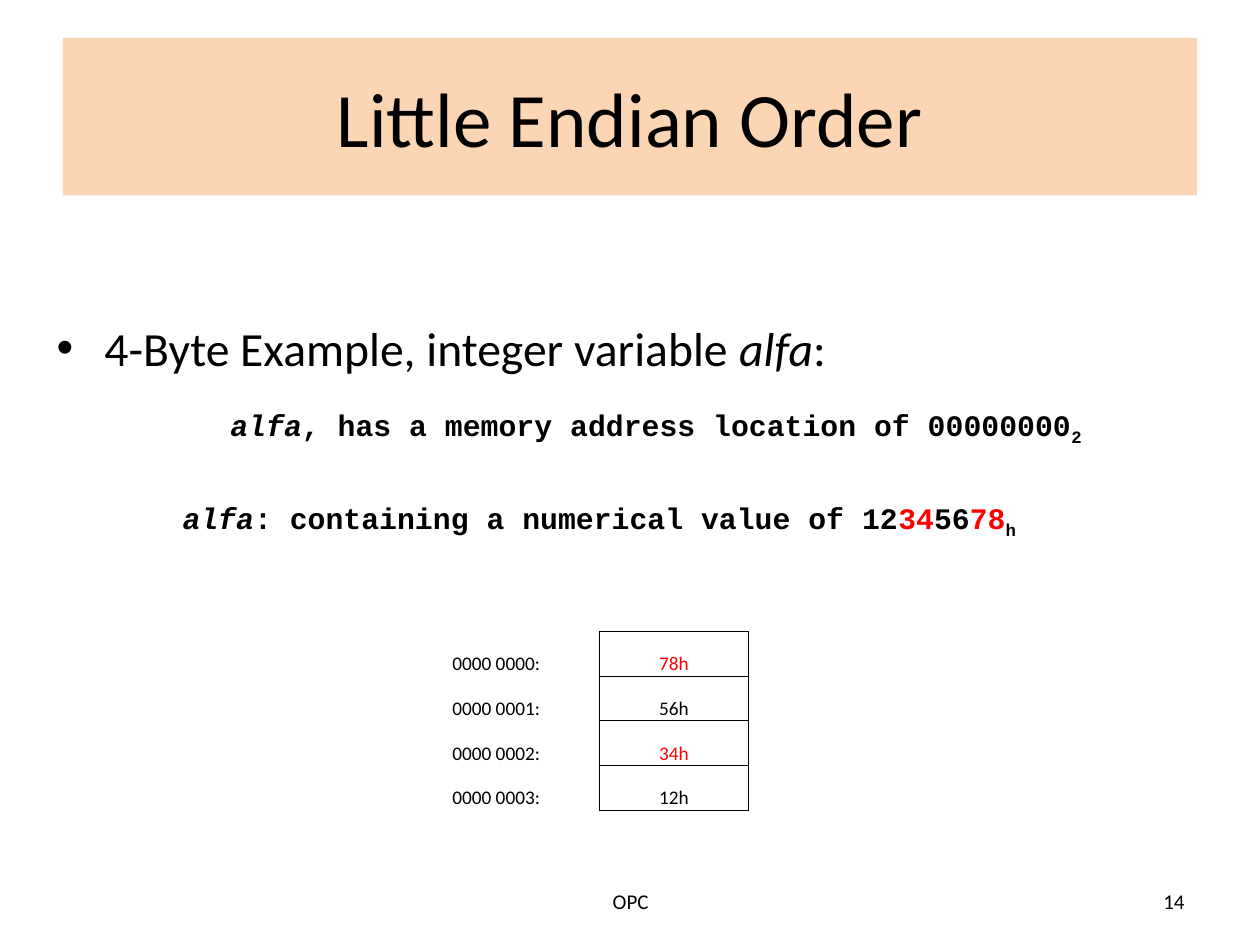
import pptx
import pptx.util
import pptx.dml.color
import pptx.enum.shapes
import pptx.enum.text
import pptx.oxml
import pptx.oxml.ns

Inches = pptx.util.Inches
Pt = pptx.util.Pt
RGBColor = pptx.dml.color.RGBColor
PP_ALIGN = pptx.enum.text.PP_ALIGN
MSO_ANCHOR = pptx.enum.text.MSO_ANCHOR

BLACK = RGBColor(0, 0, 0)
RED = RGBColor(0xFF, 0, 0)
PEACH = RGBColor(0xFC, 0xD5, 0xB5)


def add_run(p, text, size, font="Calibri", color=BLACK, bold=False, italic=False, sub=False):
    """Append a formatted run to a paragraph."""
    r = p.add_run()
    r.text = text
    r.font.size = Pt(size)
    r.font.name = font
    r.font.color.rgb = color
    r.font.bold = bold
    r.font.italic = italic
    if sub:
        r.font._element.set("baseline", "-25000")


def set_indent(p, left, first=0, bullet=None):
    """Set a paragraph's left margin, first-line indent and bullet."""
    pPr = p._p.get_or_add_pPr()
    pPr.set("marL", str(Inches(left)))
    pPr.set("indent", str(Inches(first)))
    if bullet:
        ns = pptx.oxml.ns.nsdecls("a")
        pPr.append(pptx.oxml.parse_xml(f'<a:buFont {ns} typeface="Arial"/>'))
        pPr.append(pptx.oxml.parse_xml(f'<a:buChar {ns} char="{bullet}"/>'))


def add_title(s, box, text):
    """Place the title on its coloured band."""
    sp = s.shapes.add_shape(pptx.enum.shapes.MSO_SHAPE.RECTANGLE, *box)
    sp.shadow.inherit = False
    sp.fill.solid()
    sp.fill.fore_color.rgb = PEACH
    sp.line.fill.background()
    sp.text_frame.vertical_anchor = MSO_ANCHOR.MIDDLE
    p = sp.text_frame.paragraphs[0]
    p.alignment = PP_ALIGN.CENTER
    add_run(p, text, 44)


def add_footer(s, box, text, align):
    """Place one footer text in its box."""
    tf = s.shapes.add_textbox(*box).text_frame
    tf.word_wrap = True
    tf.vertical_anchor = MSO_ANCHOR.MIDDLE
    p = tf.paragraphs[0]
    p.alignment = align
    add_run(p, text, 12)


def add_body(s, box):
    """Place the bullet and the two statements about the variable."""
    tf = s.shapes.add_textbox(*box).text_frame
    tf.word_wrap = True
    p = tf.paragraphs[0]
    set_indent(p, 0.38, -0.38, "•")
    add_run(p, "4-Byte Example, integer variable ", 27.2)
    add_run(p, "alfa", 27.2, italic=True)
    add_run(p, ":", 27.2)

    statements = [
        (1.38, 17.5, [(", has a memory address location of 00000000", BLACK)], "2"),
        (1, 30, [(": containing a numerical value of 12", BLACK), ("34", RED),
                 ("56", BLACK), ("78", RED)], "h"),
    ]
    for left, space, parts, base in statements:
        p = tf.add_paragraph()
        p.space_before = Pt(space)
        set_indent(p, left)
        add_run(p, "alfa", 17, "Courier New", bold=True, italic=True)
        for text, color in parts:
            add_run(p, text, 17, "Courier New", color, bold=True)
        add_run(p, base, 17, "Courier New", bold=True, sub=True)


def set_borders(cell, sides):
    """Draw thin black lines on the given cell sides and none on the others."""
    tcPr = cell._tc.get_or_add_tcPr()
    ns = pptx.oxml.ns.nsdecls("a")
    for i, side in enumerate("LRTB"):
        fill = "<a:noFill/>"
        if side in sides:
            fill = f'<a:solidFill><a:srgbClr val="{BLACK}"/></a:solidFill>'
        line = f'<a:ln{side} {ns} w="{Pt(0.5)}">{fill}</a:ln{side}>'
        tcPr.insert(i, pptx.oxml.parse_xml(line))


def add_memory_table(s, box, rows):
    """Place the table of addresses and stored bytes."""
    table = s.shapes.add_table(len(rows), 2, *box).table
    table.first_row = False
    table.horz_banding = False
    for i, (address, value, color) in enumerate(rows):
        columns = [(address, BLACK, PP_ALIGN.LEFT, "R"),
                   (value, color, PP_ALIGN.CENTER, "LRTB")]
        for j, (text, ink, align, sides) in enumerate(columns):
            cell = table.cell(i, j)
            cell.fill.background()
            cell.margin_left = cell.margin_right = cell.margin_top = Inches(0.01)
            cell.margin_bottom = 0
            cell.vertical_anchor = MSO_ANCHOR.BOTTOM
            p = cell.text_frame.paragraphs[0]
            p.alignment = align
            add_run(p, text, 11, color=ink)
            set_borders(cell, sides)


def main():
    """Build the slide and save it."""
    prs = pptx.Presentation()
    prs.slide_width = Inches(10)
    prs.slide_height = Inches(7.5)
    s = prs.slides.add_slide(prs.slide_layouts[6])
    add_title(s, (Inches(0.5), Inches(0.3), Inches(9), Inches(1.25)), "Little Endian Order")
    add_footer(s, (Inches(3.42), Inches(6.95), Inches(3.17), Inches(0.4)), "OPC", PP_ALIGN.CENTER)
    add_footer(s, (Inches(7.17), Inches(6.95), Inches(2.33), Inches(0.4)), "14", PP_ALIGN.RIGHT)
    add_body(s, (Inches(0.35), Inches(2.48), Inches(8.92), Inches(1.59)))
    add_memory_table(s, (Inches(3.58), Inches(5.01), Inches(2.36), Inches(1.42)), [
        ("0000 0000:", "78h", RED),
        ("0000 0001:", "56h", BLACK),
        ("0000 0002:", "34h", RED),
        ("0000 0003:", "12h", BLACK),
    ])
    prs.save("out.pptx")


if __name__ == "__main__":
    main()
